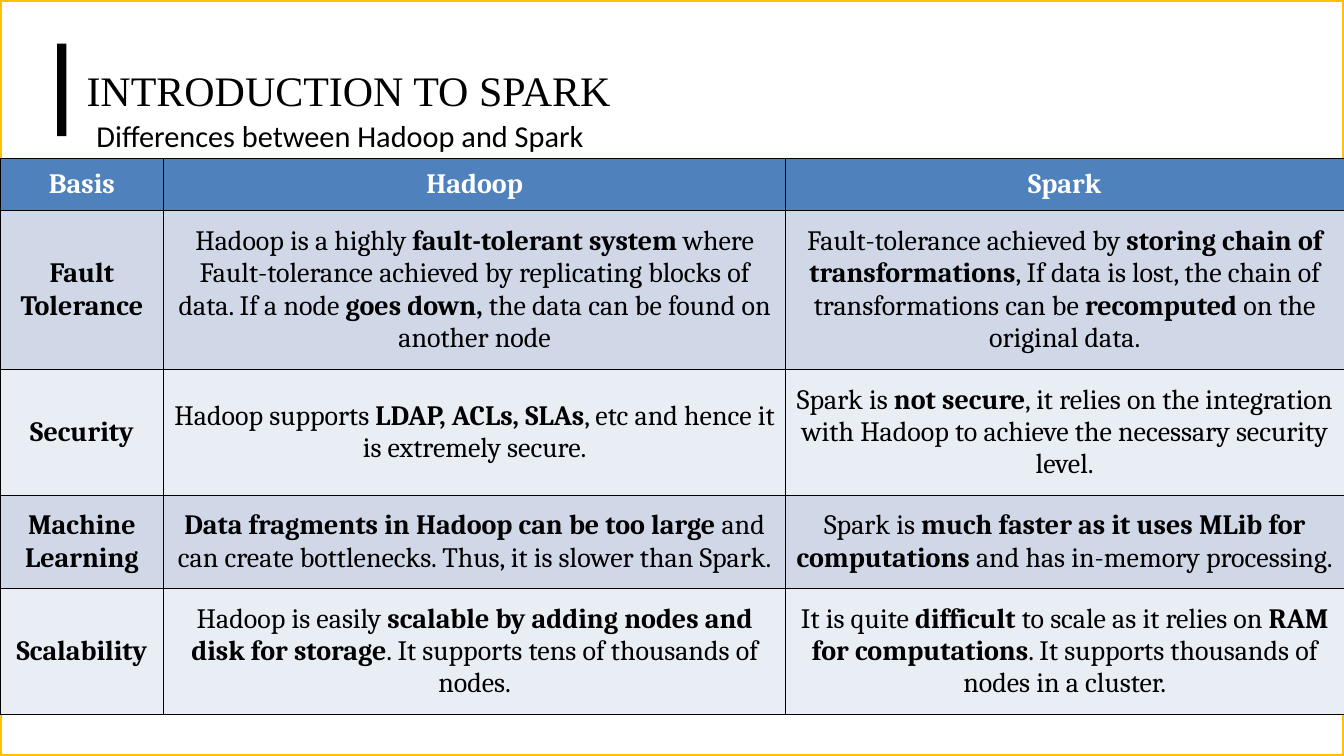
from dataclasses import dataclass

from lxml.etree import SubElement
from pptx import Presentation
from pptx.dml.color import RGBColor
from pptx.enum.shapes import MSO_SHAPE
from pptx.enum.text import MSO_ANCHOR, MSO_AUTO_SIZE, PP_ALIGN
from pptx.oxml import parse_xml
from pptx.oxml.ns import nsdecls, qn
from pptx.util import Inches, Pt


@dataclass(frozen=True)
class Theme:
    black: str = "000000"
    white: str = "FFFFFF"
    frame: str = "FFC000"
    header: str = "4F81BD"
    bands: tuple[str, str] = ("D0D8E8", "E9EDF4")
    title_font: str = "Times New Roman"
    subtitle_font: str = "Calibri"
    table_font: str = "Cambria"
    title_size: int = 36
    subtitle_size: int = 26
    table_size: int = 24


@dataclass(frozen=True)
class Row:
    height: float
    texts: tuple[str, str, str]


@dataclass(frozen=True)
class Panel:
    left: float
    top: float
    width: float
    height: float
    fill: str
    line: str | None = None
    opacity: int = 100


THEME = Theme()
COLUMN_WIDTHS = (1.95, 7.4, 6.65)

# Text between double asterisks is bold
ROWS = (
    Row(0.61, ("**Basis**", "**Hadoop**", "**Spark**")),
    Row(1.89, (
        "**Fault Tolerance**",
        "Hadoop is a highly **fault-tolerant system **where Fault-tolerance achieved by "
        "replicating blocks of data. If a node **goes down,** the data can be found on another node",
        "Fault-tolerance achieved by **storing chain of transformations**, If data is lost, "
        "the chain of transformations can be **recomputed** on the original data.",
    )),
    Row(1.49, (
        "**Security**",
        "Hadoop supports **LDAP, ACLs, SLAs**, etc and hence it is extremely secure.",
        "Spark is **not secure**, it relies on the integration with Hadoop to achieve "
        "the necessary security level.",
    )),
    Row(1.1, (
        "**Machine Learning**",
        "**Data fragments in Hadoop can be too large **and can create bottlenecks. "
        "Thus, it is slower than Spark.",
        "Spark is **much faster as it uses MLib for computations** and has in-memory processing.",
    )),
    Row(1.49, (
        "**Scalability**",
        "Hadoop is easily **scalable by adding nodes and disk for storage**. "
        "It supports tens of thousands of nodes.",
        "It is quite **difficult **to scale as it relies on **RAM for computations**. "
        "It supports thousands of nodes in a cluster.",
    )),
)

PANELS = (
    Panel(0, 0, 16, 9, THEME.white, line=THEME.frame, opacity=49),
    Panel(0.68, 0.52, 0.11, 1.1, THEME.black),
)


def write_text(frame, text: str, *, font: str, size: int, color: str = THEME.black,
               align: PP_ALIGN = PP_ALIGN.LEFT) -> None:
    para = frame.paragraphs[0]
    para.alignment = align
    for index, part in enumerate(text.split("**")):
        if part:
            span = para.add_run()
            span.text = part
            span.font.name = font
            span.font.size = Pt(size)
            span.font.bold = index % 2 == 1
            span.font.color.rgb = RGBColor.from_string(color)


def draw_panel(page, panel: Panel) -> None:
    shape = page.shapes.add_shape(
        MSO_SHAPE.RECTANGLE, Inches(panel.left), Inches(panel.top),
        Inches(panel.width), Inches(panel.height))
    shape.shadow.inherit = False
    shape.fill.solid()
    shape.fill.fore_color.rgb = RGBColor.from_string(panel.fill)
    if panel.opacity < 100:
        color = shape.element.spPr.find(qn("a:solidFill"))[0]
        SubElement(color, qn("a:alpha")).set("val", str(panel.opacity * 1000))
    if panel.line:
        shape.line.color.rgb = RGBColor.from_string(panel.line)
        shape.line.width = Pt(3)
    else:
        shape.line.fill.background()


def draw_title(page, text: str) -> None:
    title = page.shapes.title
    page.shapes.element.append(title.element)  # bring in front of the frame
    title.left, title.top = Inches(0.91), Inches(0.52)
    title.width, title.height = Inches(8.15), Inches(1.1)
    frame = title.text_frame
    frame.auto_size = MSO_AUTO_SIZE.NONE
    frame.vertical_anchor = MSO_ANCHOR.MIDDLE
    frame.margin_left = frame.margin_right = Inches(0.12)
    frame.margin_top = frame.margin_bottom = Inches(0.06)
    write_text(frame, text, font=THEME.title_font, size=THEME.title_size)


def draw_subtitle(page, text: str) -> None:
    box = page.shapes.add_textbox(Inches(1.05), Inches(1.35), Inches(8.02), Inches(0.54))
    box.text_frame.word_wrap = True
    write_text(box.text_frame, text, font=THEME.subtitle_font, size=THEME.subtitle_size)


def add_borders(cell) -> None:
    properties = cell._tc.get_or_add_tcPr()
    for index, side in enumerate(("lnL", "lnR", "lnT", "lnB")):
        properties.insert(index, parse_xml(
            f'<a:{side} {nsdecls("a")} w="{Pt(1)}"><a:solidFill>'
            f'<a:srgbClr val="{THEME.black}"/></a:solidFill></a:{side}>'))


def draw_table(page, rows: tuple[Row, ...]) -> None:
    table = page.shapes.add_table(
        len(rows), len(COLUMN_WIDTHS), 0, Inches(1.89), Inches(sum(COLUMN_WIDTHS)),
        Inches(sum(row.height for row in rows))).table
    table.horz_banding = False
    for column, width in zip(table.columns, COLUMN_WIDTHS):
        column.width = Inches(width)
    for r, row in enumerate(rows):
        table.rows[r].height = Inches(row.height)
        is_header = r == 0
        for c, text in enumerate(row.texts):
            cell = table.cell(r, c)
            cell.fill.solid()
            cell.fill.fore_color.rgb = RGBColor.from_string(
                THEME.header if is_header else THEME.bands[(r - 1) % 2])
            cell.vertical_anchor = MSO_ANCHOR.MIDDLE
            cell.margin_left = cell.margin_right = Inches(0.04 if c == 0 else 0.1)
            body_margin = 0.08 if c == 0 else 0.15
            cell.margin_top = cell.margin_bottom = Inches(0.1 if is_header else body_margin)
            write_text(cell.text_frame, text, font=THEME.table_font, size=THEME.table_size,
                       color=THEME.white if is_header else THEME.black, align=PP_ALIGN.CENTER)
            add_borders(cell)


def main() -> None:
    deck = Presentation()
    deck.slide_width, deck.slide_height = Inches(16), Inches(9)
    page = deck.slides.add_slide(deck.slide_layouts[5])

    # Frame and accent bar
    for panel in PANELS:
        draw_panel(page, panel)

    # Heading
    draw_title(page, "INTRODUCTION TO SPARK")
    draw_subtitle(page, "Differences between Hadoop and Spark")

    # Comparison table
    draw_table(page, ROWS)
    deck.save("out.pptx")


if __name__ == "__main__":
    main()
